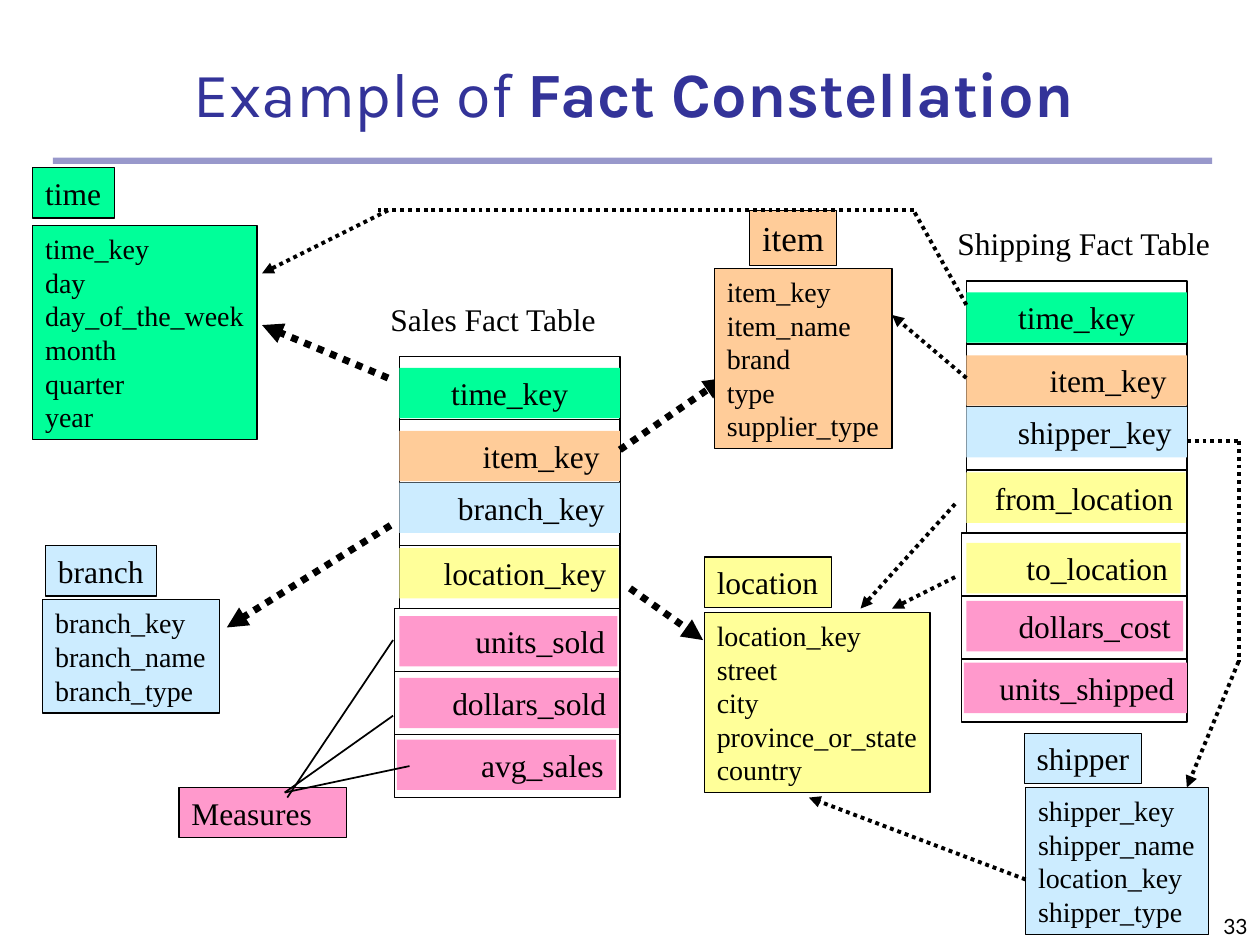
from dataclasses import dataclass

from lxml import etree
from pptx import Presentation
from pptx.dml.color import RGBColor
from pptx.enum.dml import MSO_LINE
from pptx.enum.shapes import MSO_CONNECTOR, MSO_SHAPE
from pptx.enum.text import MSO_ANCHOR, PP_ALIGN
from pptx.oxml.ns import qn
from pptx.util import Inches, Pt

SERIF = "Times New Roman"
GREEN, ORANGE, BLUE = "00FF99", "FFCC99", "CCECFF"
YELLOW, PINK, BLACK, NAVY = "FFFF99", "FF99CC", "000000", "333399"
ROW_STEP = 0.5
BAND_HEIGHT = 0.4

Point = tuple[float, float]
Area = tuple[float, float, float, float]


@dataclass
class Dimension:
    name: str
    name_area: Area
    columns: list[str]
    columns_area: Area
    color: str
    name_size: float = 18
    name_align: PP_ALIGN = PP_ALIGN.LEFT


@dataclass
class FactRow:
    name: str
    color: str
    dx: float  # band offset from the table's left edge
    dy: float  # band offset from the row's top
    width: float = 1.75
    right_inset: float = 0.1
    align: PP_ALIGN = PP_ALIGN.RIGHT


@dataclass
class Link:
    start: Point
    end: Point
    weight: float = 2.25
    dotted: bool = True
    arrow: bool = True


prs = Presentation()
prs.slide_width, prs.slide_height = Inches(10), Inches(7.5)
slide = prs.slides.add_slide(prs.slide_layouts[6])


def rgb(color: str) -> RGBColor:
    return RGBColor.from_string(color)


def write(shape, lines: list[str], size: float, align=PP_ALIGN.LEFT,
          anchor=MSO_ANCHOR.TOP, font=SERIF, wrap=False) -> None:
    frame = shape.text_frame
    frame.word_wrap = wrap
    frame.vertical_anchor = anchor
    frame.text = "\n".join(lines)
    for paragraph in frame.paragraphs:
        paragraph.alignment = align
        paragraph.font.name = font
        paragraph.font.size = Pt(size)
        paragraph.font.color.rgb = rgb(BLACK)


def add_box(area: Area, fill: str | None = None, line_width: float = 0):
    box = slide.shapes.add_shape(MSO_SHAPE.RECTANGLE, *map(Inches, area))
    box.shadow.inherit = False
    if fill:
        box.fill.solid()
        box.fill.fore_color.rgb = rgb(fill)
    else:
        box.fill.background()
    if line_width:
        box.line.color.rgb = rgb(BLACK)
        box.line.width = Pt(line_width)
    else:
        box.line.fill.background()
    return box


def add_label(area: Area, text: str, size: float, **style):
    label = slide.shapes.add_textbox(*map(Inches, area))
    write(label, [text], size, **style)
    return label


def add_dimension(dim: Dimension) -> None:
    write(add_box(dim.columns_area, dim.color, 0.75), dim.columns, 16)
    write(add_box(dim.name_area, dim.color, 0.75), [dim.name], dim.name_size,
          align=dim.name_align)


def add_fact_table(left: float, top: float, rows: list[FactRow]) -> None:
    for i, row in enumerate(rows):
        y = top + i * ROW_STEP
        # The last three rows have a slightly wider frame
        outdent = 0.04 if i > 3 else 0
        add_box((left - outdent, y, 1.75 + outdent, ROW_STEP), line_width=1)
        band = add_box((left + row.dx, y + row.dy, row.width, BAND_HEIGHT), row.color)
        write(band, [row.name], 18, align=row.align, wrap=True)
        band.text_frame.margin_right = Inches(row.right_inset)


def add_link(link: Link) -> None:
    connector = slide.shapes.add_connector(
        MSO_CONNECTOR.STRAIGHT, *map(Inches, link.start + link.end))
    connector.line.color.rgb = rgb(BLACK)
    connector.line.width = Pt(link.weight)
    if link.dotted:
        connector.line.dash_style = MSO_LINE.ROUND_DOT
    if link.arrow:
        etree.SubElement(connector.line._get_or_add_ln(), qn("a:tailEnd"), type="triangle")
    etree.SubElement(connector._element.spPr, qn("a:effectLst"))


# Title, rule and slide number
rule = add_box((0.42, 1.25, 9.2, 0.05), NAVY)
rule_color = rule._element.spPr.find(qn("a:solidFill"))[0]
etree.SubElement(rule_color, qn("a:alpha"), val="50000")
add_label((7.92, 7, 2.08, 0.5), "33", 12, align=PP_ALIGN.RIGHT,
          anchor=MSO_ANCHOR.BOTTOM, font="Lato", wrap=True)
title = add_label((1.22, 0.33, 7.62, 0.75), "Example of ", 36, align=PP_ALIGN.CENTER,
                  anchor=MSO_ANCHOR.BOTTOM, font="Karla", wrap=True)
heading = title.text_frame.paragraphs[0]
heading.font.color.rgb = rgb(NAVY)
topic = heading.add_run()
topic.text = "Fact Constellation"
topic.font.bold = True

# Time and location dimensions
add_dimension(Dimension(
    "time", (0.26, 1.33, 0.65, 0.4),
    ["time_key", "day", "day_of_the_week", "month", "quarter", "year"],
    (0.26, 1.79, 1.78, 1.7), GREEN))
add_dimension(Dimension(
    "location", (5.59, 4.42, 1.01, 0.4),
    ["location_key", "street", "city", "province_or_state", "country"],
    (5.59, 4.86, 1.79, 1.43), YELLOW))

# Sales fact table with its measures
time_row = FactRow("time_key", GREEN, 0, 0.09, align=PP_ALIGN.CENTER)
item_row = FactRow("item_key", ORANGE, 0, 0.09, right_inset=0.16)
add_label((3, 2.33, 1.85, 0.4), "Sales Fact Table", 18)
add_fact_table(3.17, 2.83, [
    time_row,
    item_row,
    FactRow("branch_key", BLUE, 0, 0, right_inset=0.12),
    FactRow("location_key", YELLOW, 0, 0.02, 1.74),
    FactRow("units_sold", PINK, 0, 0.06, 1.73),
    FactRow("dollars_sold", PINK, 0, 0.05, 1.74),
    FactRow("avg_sales", PINK, -0.02, 0.04, 1.74),
])
write(add_box((1.42, 6.25, 1.33, 0.4), PINK, 0.75), ["Measures"], 18)
for start, end in [((2.28, 6.33), (3.12, 5.08)),
                   ((2.26, 6.29), (3.12, 5.68)),
                   ((2.26, 6.29), (3.25, 6.08))]:
    add_link(Link(start, end, 1, dotted=False, arrow=False))
for start, end in [((3.1, 4.17), (1.8, 4.98)),
                   ((3.08, 3), (2.08, 2.58)),
                   ((5, 4.67), (5.58, 5.08)),
                   ((4.92, 3.57), (5.75, 3))]:
    add_link(Link(start, end, 4))

# Item and branch dimensions
add_dimension(Dimension(
    "item", (5.95, 1.67, 0.69, 0.44),
    ["item_key", "item_name", "brand", "type", "supplier_type"],
    (5.67, 2.13, 1.41, 1.43), ORANGE, 20, PP_ALIGN.CENTER))
add_dimension(Dimension(
    "branch", (0.36, 4.33, 0.88, 0.4),
    ["branch_key", "branch_name", "branch_type"],
    (0.34, 4.76, 1.4, 0.9), BLUE, name_align=PP_ALIGN.CENTER))

# Shipping fact table and shipper dimension, which stays clear of the slide number
add_label((7.5, 1.73, 2.23, 0.4), "Shipping Fact Table", 18)
add_fact_table(7.67, 2.23, [
    time_row,
    item_row,
    FactRow("shipper_key", BLUE, 0, 0, right_inset=0.12),
    FactRow("from_location", YELLOW, 0, 0.02, 1.74),
    FactRow("to_location", YELLOW, 0, 0.08, 1.7),
    FactRow("dollars_cost", PINK, 0, 0.04, 1.72),
    FactRow("units_shipped", PINK, -0.02, 0.03, 1.77),
])
add_dimension(Dimension(
    "shipper", (8.13, 5.82, 0.93, 0.4),
    ["shipper_key", "shipper_name", "location_key", "shipper_type"],
    (8.14, 6.25, 1.45, 1.17), BLUE, name_align=PP_ALIGN.CENTER))
for link in [
    Link((7.67, 2.42), (7.25, 1.67), arrow=False),
    Link((7.25, 1.67), (3, 1.67), arrow=False),
    Link((3.08, 1.67), (2.08, 2.17)),
    Link((7.67, 3), (7.08, 2.5)),
    Link((7.58, 4), (6.83, 4.83)),
    Link((7.58, 4.58), (7.08, 4.83)),
    Link((9.42, 3.5), (9.83, 3.5), arrow=False),
    Link((9.83, 3.5), (9.83, 5.25), arrow=False),
    Link((9.83, 5.25), (9.42, 6.25)),
    Link((8.14, 6.98), (6.42, 6.33)),
]:
    add_link(link)

prs.save("out.pptx")
